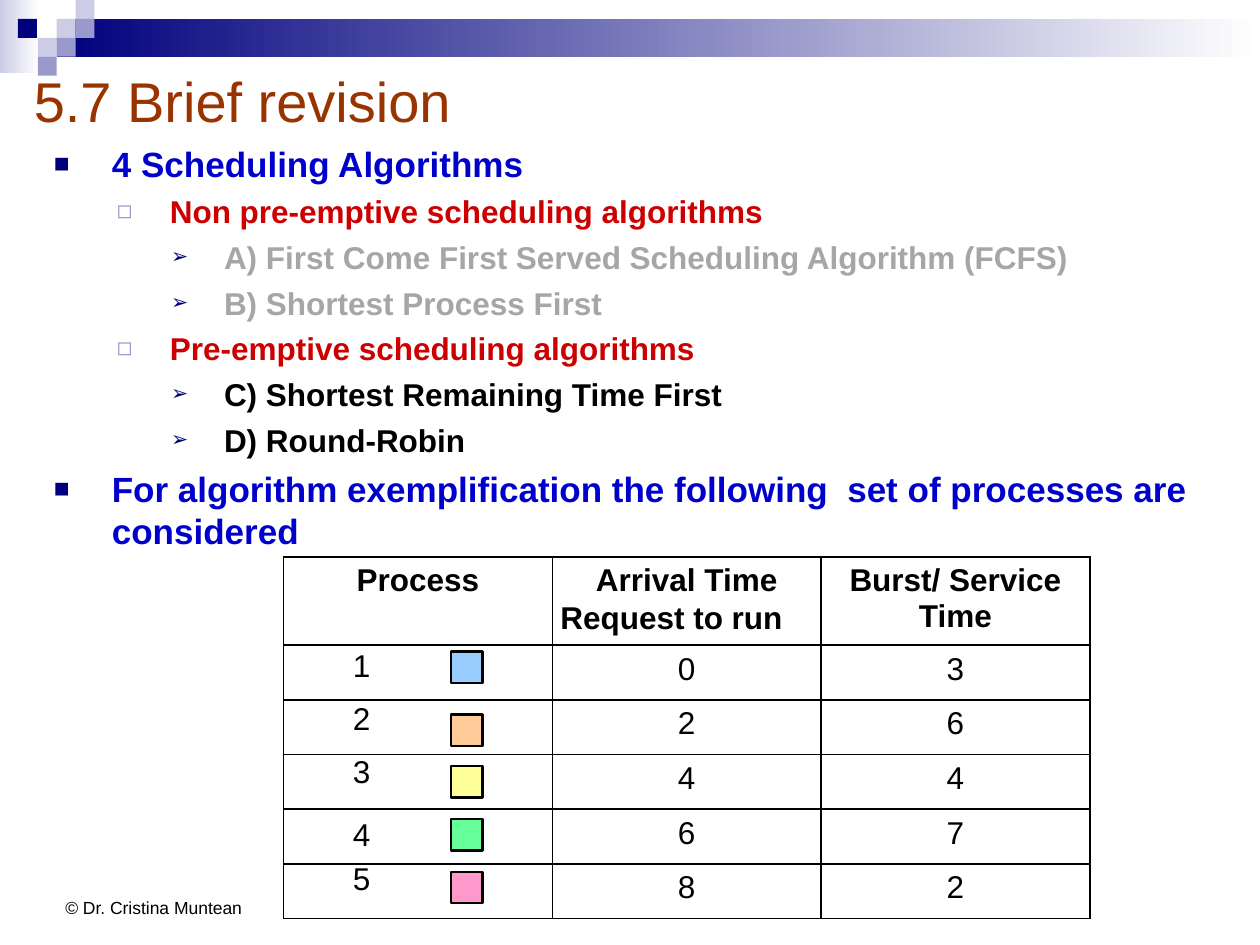
"""Build the scheduling algorithms revision slide."""
from dataclasses import dataclass
from lxml import etree
from pptx import Presentation
from pptx.dml.color import RGBColor
from pptx.enum.shapes import MSO_SHAPE
from pptx.enum.text import MSO_ANCHOR, PP_ALIGN
from pptx.oxml.ns import qn
from pptx.util import Inches, Pt

RECT = MSO_SHAPE.RECTANGLE
TOP, MIDDLE = MSO_ANCHOR.TOP, MSO_ANCHOR.MIDDLE
LEFT, CENTER = PP_ALIGN.LEFT, PP_ALIGN.CENTER


@dataclass(frozen=True)
class Theme:
    font: str = "Arial"
    title_size: int = 32
    head_size: int = 20
    body_size: int = 18
    foot_size: int = 10
    black: str = "000000"
    white: str = "FFFFFF"
    navy: str = "00007D"
    lilac: str = "9999CC"
    pale: str = "CCCCE6"
    brown: str = "993300"
    blue: str = "0000CC"
    red: str = "CC0000"
    grey: str = "A6A6A6"
    swatches: tuple = ("99CCFF", "FFCC99", "FFFF99", "66FF99", "FF99CC")


T = Theme()
LEVELS = [
    dict(margin=0.46, indent=-0.46, char="■", color=T.navy, pct=75, size=T.head_size),
    dict(margin=0.92, indent=-0.42, char="◻", color=T.lilac, pct=80, size=T.body_size),
    dict(margin=1.35, indent=-0.42, char="➢", color=T.navy, pct=65, size=T.body_size),
]


def add_text(p, text, size=T.body_size, color=T.black, bold=False, align=LEFT):
    """Add a formatted run to a paragraph."""
    p.alignment = align
    r = p.add_run()
    r.text = text
    r.font.name, r.font.size, r.font.bold = T.font, Pt(size), bold
    r.font.color.rgb = RGBColor.from_string(color)


def add_bullet(p, margin, indent, char, color, pct, size):
    """Give a paragraph its hanging indent and bullet."""
    p.space_before = Pt(size * 0.25)
    pPr = p._p.get_or_add_pPr()
    pPr.set("marL", str(Inches(margin)))
    pPr.set("indent", str(Inches(indent)))
    clr = etree.SubElement(pPr, qn("a:buClr"))
    etree.SubElement(clr, qn("a:srgbClr"), val=color)
    etree.SubElement(pPr, qn("a:buSzPct"), val=str(pct * 1000))
    etree.SubElement(pPr, qn("a:buFont"), typeface=T.font)
    etree.SubElement(pPr, qn("a:buChar"), char=char)


def add_borders(cell, color=T.black, width=1):
    """Draw a line on all four sides of a cell."""
    tcPr = cell._tc.get_or_add_tcPr()
    for i, side in enumerate(("lnL", "lnR", "lnT", "lnB")):
        ln = etree.Element(qn(f"a:{side}"), w=str(Pt(width)))
        fill = etree.SubElement(ln, qn("a:solidFill"))
        etree.SubElement(fill, qn("a:srgbClr"), val=color)
        tcPr.insert(i, ln)


class Deck:
    """Hold the presentation and its current slide."""

    def __init__(self, width, height):
        self.prs = Presentation()
        self.prs.slide_width, self.prs.slide_height = Inches(width), Inches(height)
        self.s = self.prs.slides.add_slide(self.prs.slide_layouts[6])

    def rect(self, x, y, w, h, color, fade_to=None, line=None):
        """Add a rectangle with a solid or fading fill."""
        sp = self.s.shapes.add_shape(RECT, Inches(x), Inches(y), Inches(w), Inches(h))
        sp.shadow.inherit = False
        if fade_to:
            sp.fill.gradient()
            sp.fill.gradient_angle = 0
            for stop, c in zip(sp.fill.gradient_stops, (color, fade_to)):
                stop.color.rgb = RGBColor.from_string(c)
        else:
            sp.fill.solid()
            sp.fill.fore_color.rgb = RGBColor.from_string(color)
        if line:
            sp.line.color.rgb = RGBColor.from_string(line)
            sp.line.width = Pt(1.25)
        else:
            sp.line.fill.background()

    def text(self, x, y, w, h, text="", anchor=TOP, wrap=True, **fmt):
        """Add a text box and return its text frame."""
        tf = self.s.shapes.add_textbox(Inches(x), Inches(y), Inches(w), Inches(h)).text_frame
        tf.word_wrap, tf.vertical_anchor = wrap, anchor
        if text:
            add_text(tf.paragraphs[0], text, **fmt)
        return tf

    def outline(self, x, y, w, h, items):
        """Add a bulleted list of level, text and colour."""
        tf = self.text(x, y, w, h)
        for i, (level, text, color) in enumerate(items):
            p = tf.add_paragraph() if i else tf.paragraphs[0]
            p.level = level
            add_bullet(p, **LEVELS[level])
            add_text(p, text, size=LEVELS[level]["size"], color=color, bold=True)

    def table(self, x, y, w, h, head_h, rows):
        """Add a ruled table with a bold first row."""
        n, m = len(rows), len(rows[0])
        tbl = self.s.shapes.add_table(n, m, Inches(x), Inches(y), Inches(w), Inches(h)).table
        tbl.first_row = tbl.horz_banding = False
        for i, row in enumerate(rows):
            tbl.rows[i].height = Inches((h - head_h) / (n - 1) if i else head_h)
            for j, text in enumerate(row):
                cell = tbl.cell(i, j)
                cell.fill.background()
                add_borders(cell)
                add_text(cell.text_frame.paragraphs[0], text, bold=i == 0, align=CENTER)


def main():
    """Lay out the slide and save it."""
    deck = Deck(10, 7.5)
    deck.rect(0, 0, 0.31, 0.58, T.pale, fade_to=T.white)
    deck.rect(0.45, 0.15, 9.55, 0.3, T.navy, fade_to=T.white)
    tile = 0.15
    for col, row, color in [(3, 1, T.pale), (4, 0, T.pale), (4, 1, T.lilac), (2, 2, T.pale),
                            (0.95, 1, T.navy), (3, 2, T.lilac), (2, 3, T.lilac)]:
        deck.rect(col * tile, row * tile, tile, tile, color)

    deck.text(0.42, 7, 1.68, 0.4, "© Dr. Cristina Muntean", anchor=MIDDLE, wrap=False,
              size=T.foot_size)
    deck.table(2.25, 4.42, 6.4, 2.87, 0.7, [
        ("Process", "Arrival Time", "Burst/ Service Time"),
        ("", "0", "3"),
        ("", "2", "6"),
        ("", "4", "4"),
        ("", "6", "7"),
        ("", "8", "2"),
    ])
    deck.text(0.17, 0.17, 9.83, 1.25, "5.7 Brief revision", anchor=MIDDLE,
              size=T.title_size, color=T.brown)
    deck.outline(0.33, 1.08, 9.5, 3.25, [
        (0, "4 Scheduling Algorithms", T.blue),
        (1, "Non pre-emptive scheduling algorithms", T.red),
        (2, "A) First Come First Served Scheduling Algorithm (FCFS)", T.grey),
        (2, "B) Shortest Process First", T.grey),
        (1, "Pre-emptive scheduling algorithms", T.red),
        (2, "C) Shortest Remaining Time First", T.black),
        (2, "D) Round-Robin", T.black),
        (0, "For algorithm exemplification the following  set of processes are considered",
         T.blue),
    ])
    deck.text(4.28, 4.7, 2.1, 0.4, "Request to run", bold=True, align=CENTER)

    swatch_tops = (5.17, 5.67, 6.08, 6.5, 6.92)
    number_tops = (5.08, 5.5, 5.92, 6.42, 6.77)
    for color, y in zip(T.swatches, swatch_tops):
        deck.rect(3.58, y, 0.25, 0.25, color, line=T.black)
    for number, y in enumerate(number_tops, 1):
        deck.text(2.67, y, 0.4, 0.4, str(number), align=CENTER)
    deck.prs.save("out.pptx")


main()
